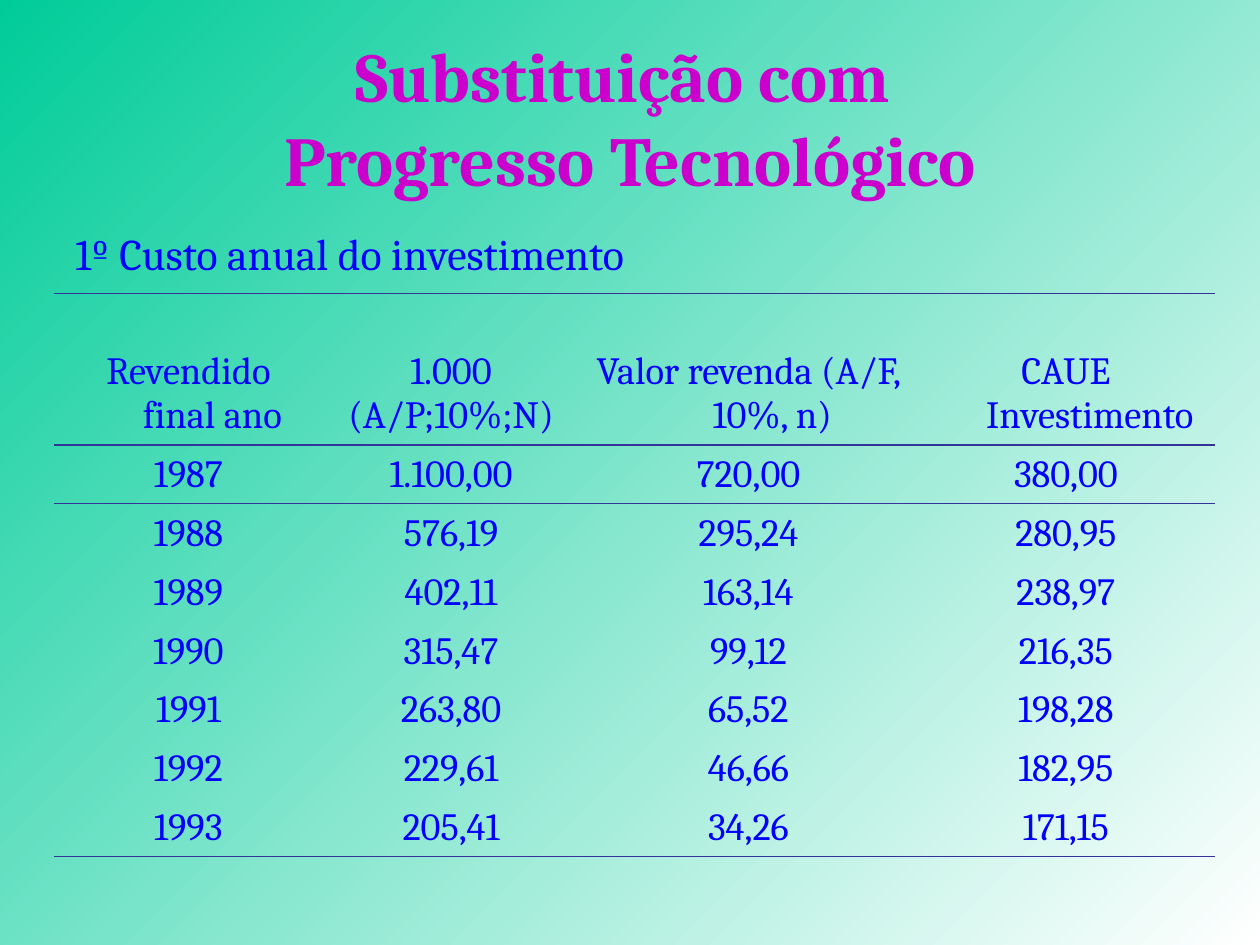
from dataclasses import dataclass

from lxml import etree
from pptx import Presentation, util as u
from pptx.dml.color import RGBColor
from pptx.enum import text
from pptx.oxml import ns


@dataclass(frozen=True)
class Theme:
    font: str = "Cambria"
    title: str = "CC00CC"
    body: str = "0000FF"
    rule: str = "333399"
    gradient: tuple = ("00CC99", "FFFFFF")
    title_size: float = 40
    body_size: float = 25
    table_size: float = 22
    rule_width: float = 1.08
    hanging: float = 0.38
    plain_table: str = "{2D5ABB26-0587-4C30-8999-92F81FD0307C}"


class SlideBuilder:
    def __init__(self, presentation, theme):
        self.theme = theme
        self.width = presentation.slide_width
        self.height = presentation.slide_height
        self.slide = presentation.slides.add_slide(presentation.slide_layouts[6])

    def box(self, left, top, width, height):
        """Turn shares of the slide into lengths."""
        return [round(share * side) for share, side in
                zip((left, top, width, height), (self.width, self.height) * 2)]

    def background(self):
        fill = self.slide.background.fill
        fill.gradient()
        fill.gradient_angle = 315
        for stop, color in zip(fill.gradient_stops, self.theme.gradient):
            stop.color.rgb = RGBColor.from_string(color)

    def set_text(self, frame, content, size, color, align, bold=False, hanging=True):
        frame.text = content
        for paragraph in frame.paragraphs:
            paragraph.alignment = align
            if hanging:
                properties = paragraph._p.get_or_add_pPr()
                indent = u.Inches(self.theme.hanging)
                properties.set("marL", str(indent))
                properties.set("indent", str(-indent))
            for run in paragraph.runs:
                formats = {"name": self.theme.font, "size": u.Pt(size), "bold": bold}
                for name, value in formats.items():
                    setattr(run.font, name, value)
                run.font.color.rgb = RGBColor.from_string(color)

    def text_box(self, area, content, anchor, **style):
        frame = self.slide.shapes.add_textbox(*self.box(*area)).text_frame
        frame.word_wrap = True
        frame.vertical_anchor = anchor
        self.set_text(frame, content, **style)

    def border(self, cell, side):
        line = etree.SubElement(cell._tc.get_or_add_tcPr(), ns.qn(f"a:{side}"),
                                w=str(u.Pt(self.theme.rule_width)))
        fill = etree.SubElement(line, ns.qn("a:solidFill"))
        etree.SubElement(fill, ns.qn("a:srgbClr"), val=self.theme.rule)

    def table(self, area, rows, column_shares, row_shares):
        frame = self.slide.shapes.add_table(len(rows), len(rows[0]), *self.box(*area))
        table = frame.table
        table.first_row = table.horz_banding = False
        table._tbl.tblPr.find(ns.qn("a:tableStyleId")).text = self.theme.plain_table
        for column, share in zip(table.columns, column_shares):
            column.width = round(share * self.width)
        for row, share in zip(table.rows, row_shares):
            row.height = round(share * self.height)

        # Rules run above and below the header and below the last row
        sides = {0: ("lnT", "lnB"), 1: ("lnT",), len(rows) - 1: ("lnB",)}
        for index, values in enumerate(rows):
            for cell, value in zip(table.rows[index].cells, values):
                self.set_text(cell.text_frame, value, self.theme.table_size,
                              self.theme.body, text.PP_ALIGN.CENTER)
                cell.vertical_anchor = text.MSO_ANCHOR.BOTTOM
                for side in sides.get(index, ()):
                    self.border(cell, side)
                cell.fill.background()


HEADER = ("Revendido final ano", "1.000\n(A/P;10%;N)",
          "Valor revenda (A/F, 10%, n)", "CAUE Investimento")
COSTS = [
    ("1987", "1.100,00", "720,00", "380,00"),
    ("1988", "576,19", "295,24", "280,95"),
    ("1989", "402,11", "163,14", "238,97"),
    ("1990", "315,47", "99,12", "216,35"),
    ("1991", "263,80", "65,52", "198,28"),
    ("1992", "229,61", "46,66", "182,95"),
    ("1993", "205,41", "34,26", "171,15"),
]


def main():
    presentation = Presentation()
    presentation.slide_width, presentation.slide_height = u.Inches(10), u.Inches(7.5)
    theme = Theme()
    builder = SlideBuilder(presentation, theme)
    builder.background()

    # Title and subtitle
    builder.text_box((0.05, 0.3 / 7.5, 0.9, 1.25 / 7.5),
                     "Substituição com \vProgresso Tecnológico",
                     text.MSO_ANCHOR.MIDDLE, size=theme.title_size, color=theme.title,
                     align=text.PP_ALIGN.CENTER, bold=True, hanging=False)
    builder.text_box((0.05, 1.75 / 7.5, 0.89, 0.82 / 7.5),
                     "1º Custo anual do investimento",
                     text.MSO_ANCHOR.TOP, size=theme.body_size, color=theme.body,
                     align=text.PP_ALIGN.JUSTIFY)

    # Annual cost table
    builder.table((0.043, 2.33 / 7.5, 0.921, 4.47 / 7.5), [HEADER, *COSTS],
                  column_shares=(0.213, 0.204, 0.268, 0.236),
                  row_shares=[1.2 / 7.5] + [0.467 / 7.5] * len(COSTS))

    presentation.save("out.pptx")


if __name__ == "__main__":
    main()
